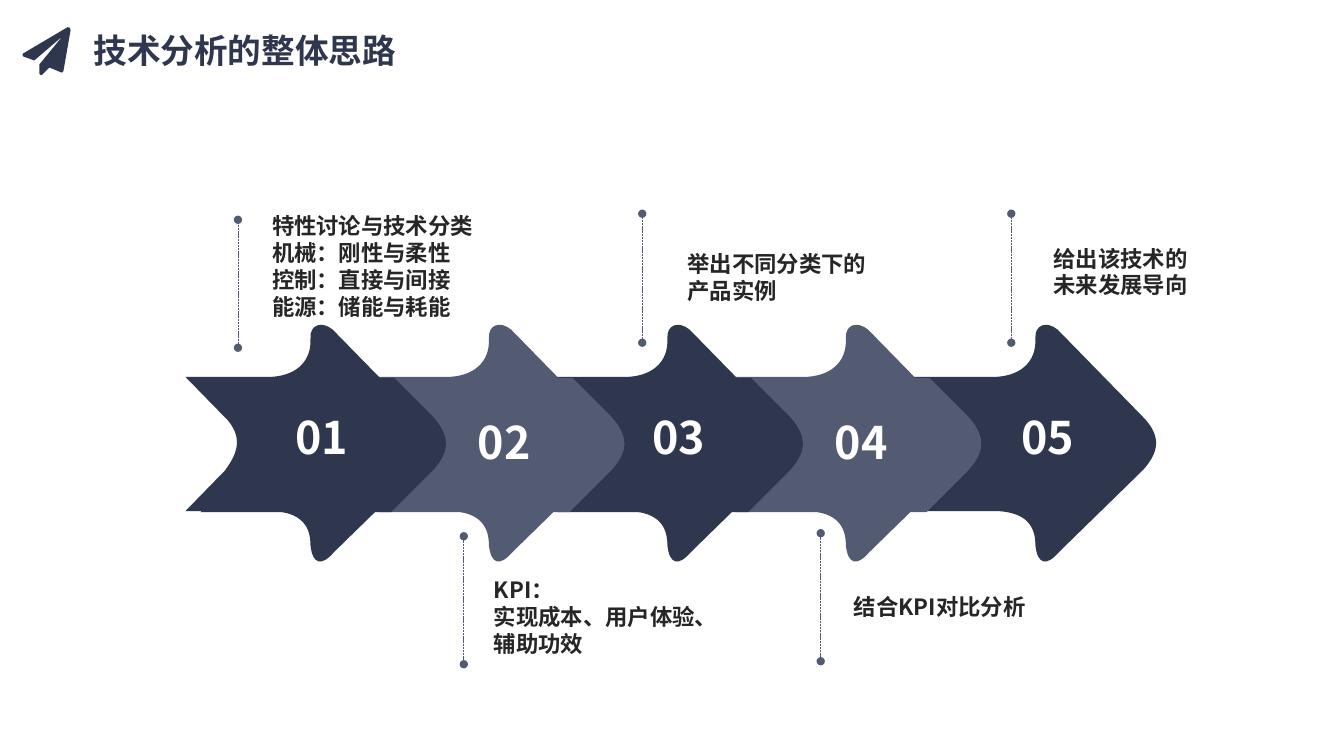
from pptx import Presentation
from pptx.dml.color import RGBColor
from pptx.enum import dml, shapes, text
from pptx.oxml.ns import qn
from pptx.util import Inches, Pt
from lxml import etree

NAVY, SLATE, INK, WHITE = "2F374E", "535B72", "262626", "FFFFFF"
STEP_LEFT, STEP_GAP, LAST_LEFT = 1.84, 1.77, 9.03

PLANE_BOX = (0.22, 0.27, 0.48, 0.48)
PLANE = [(0.7, 0.3), (0.63, 0.7), [(0.63, 0.71), (0.62, 0.72), (0.61, 0.72)],
         (0.49, 0.67), (0.42, 0.74), [(0.42, 0.75), (0.39, 0.75), (0.39, 0.73)],
         (0.39, 0.64), (0.62, 0.36), (0.34, 0.6), (0.23, 0.56),
         [(0.22, 0.55), (0.22, 0.54), (0.23, 0.53)], (0.67, 0.27),
         [(0.69, 0.26), (0.7, 0.28), (0.7, 0.3)]]
ARROW_BOX = (0, 3.23, 2.44, 2.35)
ARROW = [(0, 3.74), (0.81, 3.74),
         [(1.08, 3.74), (1.25, 3.6), (1.24, 3.36)],
         [(1.23, 3.22), (1.35, 3.18), (1.46, 3.27)], (2.3, 4.13),
         [(2.51, 4.34), (2.45, 4.5), (2.31, 4.66)], (1.47, 5.48),
         [(1.35, 5.62), (1.26, 5.6), (1.24, 5.41)],
         [(1.24, 5.23), (1.16, 5.08), (0.85, 5.07)], (0, 5.07), (0.39, 4.67),
         [(0.5, 4.52), (0.58, 4.36), (0.42, 4.17)]]
BODY_BOX = (0, 3.75, 2.44, 1.33)
BODY = [(0, 3.75), (1.92, 3.75), (2.3, 4.13),
        [(2.5, 4.35), (2.45, 4.5), (2.31, 4.66)], (1.89, 5.08), (0, 5.08),
        (0.38, 4.67), [(0.5, 4.52), (0.58, 4.36), (0.41, 4.17)]]

LABELS = [
    ((10.35, 2.13, 2.62, 1.13), 0.05, ["给出该技术的", "未来发展导向"]),
    ((6.72, 2.25, 2.56, 1.29), 0.35, ["举出不同分类下的", "产品实例"]),
    ((2.6, 2.03, 2.56, 1.49), 0.32,
     ["特性讨论与技术分类", "机械：刚性与柔性", "控制：直接与间接", "能源：储能与耗能"]),
    ((4.8, 5.92, 2.56, 0.97), 0.62, ["KPI：", "实现成本、用户体验、", "辅助功效"]),
    ((8.37, 5.83, 2.56, 0.37), 0.05, ["结合KPI对比分析"]),
]
MARKERS = [(2.36, 3.45, 2.18), (4.6, 6.59, 5.32), (6.37, 3.4, 2.12),
           (8.14, 6.56, 5.29), (10.03, 3.4, 2.12)]


def color(value):
    return RGBColor.from_string(value)


class Deck:
    font = "Noto Sans CJK SC"

    def __init__(self):
        self.prs = Presentation()
        self.prs.slide_width, self.prs.slide_height = Inches(13.33), Inches(7.5)
        self.s = self.prs.slides.add_slide(self.prs.slide_layouts[6])

    def outline(self, parts, box, fill, offset=0):
        left, top, width, height = box
        x, y = Inches(left + offset), Inches(top)
        w, h = Inches(width), Inches(height)
        builder = self.s.shapes.build_freeform(x, y)
        builder.add_line_segments([(x + w, y), (x + w, y + h), (x, y + h)])
        sp = builder.convert_to_shape()
        track = sp._element.find(".//" + qn("a:path"))
        for child in list(track):
            track.remove(child)
        for i, part in enumerate(parts):
            curve = isinstance(part, list)
            tag = "a:cubicBezTo" if curve else "a:lnTo" if i else "a:moveTo"
            segment = etree.SubElement(track, qn(tag))
            for px, py in part if curve else [part]:
                etree.SubElement(segment, qn("a:pt"), x=str(Inches(px - left)),
                                 y=str(Inches(py - top)))
        etree.SubElement(track, qn("a:close"))
        sp.shadow.inherit = False
        sp.fill.solid()
        sp.fill.fore_color.rgb = color(fill)
        sp.line.fill.background()

    def text(self, box, lines, size, fill, **frame):
        sp = self.s.shapes.add_textbox(*map(Inches, box))
        tf = sp.text_frame
        for name, value in {"word_wrap": True, **frame}.items():
            setattr(tf, name, value)
        for i, line in enumerate(lines):
            p = tf.paragraphs[0] if i == 0 else tf.add_paragraph()
            r = p.add_run()
            r.text = line
            for name, value in {"name": self.font, "size": Pt(size), "bold": True}.items():
                setattr(r.font, name, value)
            r.font.color.rgb = color(fill)
            etree.SubElement(r.font._element, qn("a:ea"), typeface=self.font)

    def marker(self, x, bottom, top):
        line = self.s.shapes.add_connector(
            shapes.MSO_CONNECTOR.STRAIGHT, Inches(x), Inches(bottom), Inches(x), Inches(top))
        line.line.color.rgb = color(SLATE)
        line.line.width = Pt(0.5)
        line.line.dash_style = dml.MSO_LINE.SQUARE_DOT
        for end in ("a:headEnd", "a:tailEnd"):
            etree.SubElement(line.line._get_or_add_ln(), qn(end), type="oval")
        etree.SubElement(line._element.spPr, qn("a:effectLst"))

    def step(self, number):
        last = number == 5
        left = LAST_LEFT if last else STEP_LEFT + STEP_GAP * (number - 1)
        fill = NAVY if number % 2 else SLATE
        if not last:
            self.outline(BODY, BODY_BOX, fill, left + 0.15)
        self.outline(ARROW, ARROW_BOX, fill, left)
        if number % 2:
            size = (0.76, 0.64)
            frame = {"word_wrap": False, "auto_size": text.MSO_AUTO_SIZE.SHAPE_TO_FIT_TEXT}
        else:
            size = (0.93, 0.73)
            frame = {"vertical_anchor": text.MSO_ANCHOR.MIDDLE,
                     "margin_left": Inches(0.14), "margin_right": Inches(0.14),
                     "margin_top": Inches(0.07), "margin_bottom": Inches(0.07)}
        number_left = 10.03 if last else left + 0.99
        self.text((number_left, 4.02, *size), [f"{number:02}"], 32, WHITE, **frame)


def main():
    deck = Deck()
    deck.outline(PLANE, PLANE_BOX, NAVY)
    for number in range(5, 0, -1):
        deck.step(number)
    for marker in MARKERS:
        deck.marker(*marker)
    for box, bottom, lines in LABELS:
        deck.text(box, lines, 16, INK, margin_bottom=Inches(bottom),
                  vertical_anchor=text.MSO_ANCHOR.MIDDLE)
    deck.text((0.83, 0.25, 3.56, 0.5), ["技术分析的整体思路"], 24, NAVY,
              auto_size=text.MSO_AUTO_SIZE.SHAPE_TO_FIT_TEXT)
    deck.prs.save("out.pptx")


if __name__ == "__main__":
    main()
